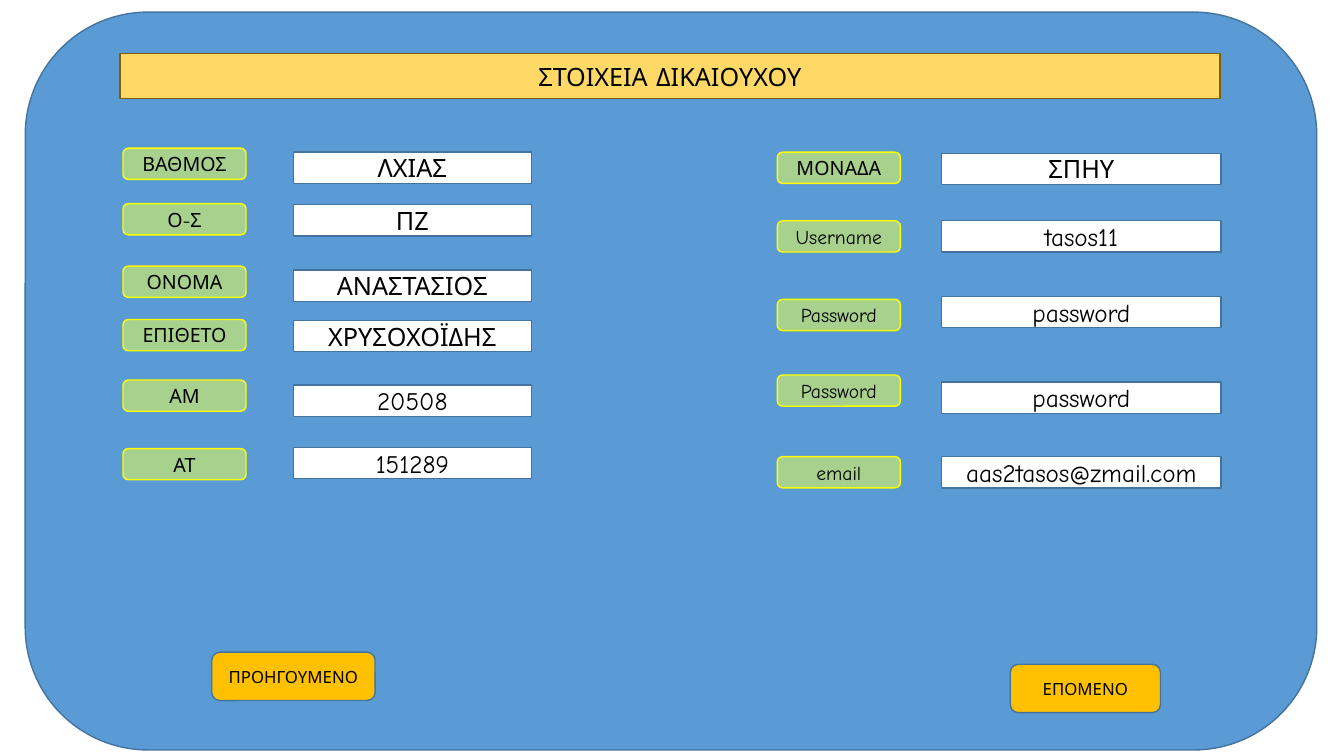
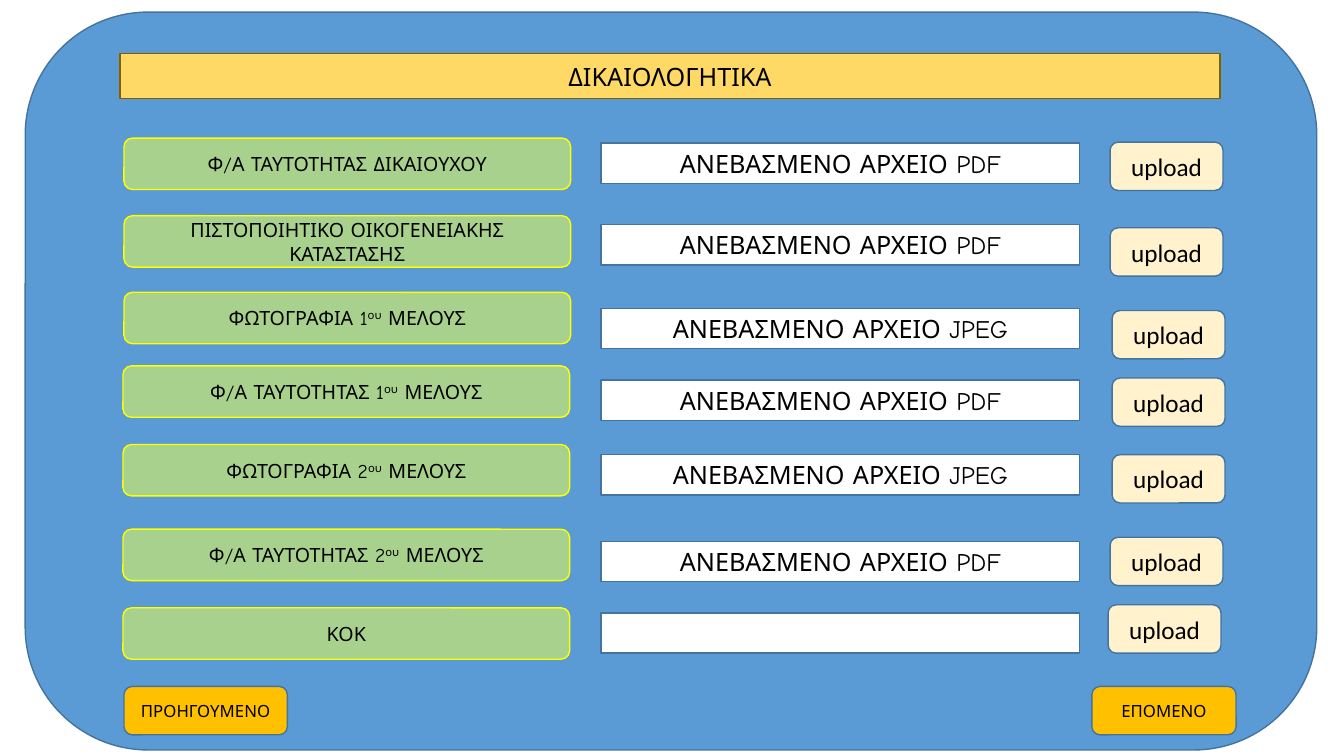
from dataclasses import dataclass

from pptx import Presentation
from pptx.dml.color import RGBColor
from pptx.enum import shapes, text
from pptx.util import Inches, Pt


@dataclass(frozen=True)
class Style:
    fill: str
    line: str = "43739E"
    size: int = 18
    font: str = "Comic Neue"
    rounded: bool = True


@dataclass(frozen=True)
class Theme:
    ink: str = "000000"
    line_width: float = 1
    panel: Style = Style("5B9BD5")
    title: Style = Style("FFD966", line="806000", rounded=False)
    label: Style = Style("A9D18E", line="FFFF00", size=14)
    field: Style = Style("FFFFFF", rounded=False)
    upload: Style = Style("FFF2CC", font="Calibri")
    navigation: Style = Style("FFC000", size=12)


THEME = Theme()
SUPERSCRIPT_MARK = "^"

LEFT_FIELDS = [
    ("ΒΑΘΜΟΣ", 1.47, "ΛΧΙΑΣ", 1.51),
    ("Ο-Σ", 2.02, "ΠΖ", 2.03),
    ("ΟΝΟΜΑ", 2.64, "ΑΝΑΣΤΑΣΙΟΣ", 2.68),
    ("ΕΠΙΘΕΤΟ", 3.17, "ΧΡΥΣΟΧΟΪΔΗΣ", 3.18),
    ("ΑΜ", 3.77, "20508", 3.82),
    ("ΑΤ", 4.45, "151289", 4.44),
]
RIGHT_FIELDS = [
    ("ΜΟΝΑΔΑ", 1.51, "ΣΠΗΥ", 1.52),
    ("Username", 2.19, "tasos11", 2.19),
    ("Password", 2.97, "password", 2.94),
    ("Password", 3.72, "password", 3.79),
    ("email", 4.53, "aas2tasos@zmail.com", 4.53),
]
PDF_FILE = "ΑΝΕΒΑΣΜΕΝΟ ΑΡΧΕΙΟ PDF"
JPEG_FILE = "ΑΝΕΒΑΣΜΕΝΟ ΑΡΧΕΙΟ JPEG"
DOCUMENTS = [
    ("Φ/Α ΤΑΥΤΟΤΗΤΑΣ ΔΙΚΑΙΟΥΧΟΥ", 1.23, 1.37, PDF_FILE, 1.42, 11.01, 1.41),
    ("ΠΙΣΤΟΠΟΙΗΤΙΚΟ ΟΙΚΟΓΕΝΕΙΑΚΗΣ ΚΑΤΑΣΤΑΣΗΣ", 1.23, 2.14, PDF_FILE, 2.23, 11.01, 2.26),
    ("ΦΩΤΟΓΡΑΦΙΑ 1^ου^ ΜΕΛΟΥΣ", 1.23, 2.9, JPEG_FILE, 3.06, 11.03, 3.08),
    ("Φ/Α ΤΑΥΤΟΤΗΤΑΣ 1^ου^ ΜΕΛΟΥΣ", 1.22, 3.63, PDF_FILE, 3.77, 11.03, 3.75),
    ("ΦΩΤΟΓΡΑΦΙΑ 2^ου^ ΜΕΛΟΥΣ", 1.22, 4.41, JPEG_FILE, 4.51, 11.03, 4.51),
    ("Φ/Α ΤΑΥΤΟΤΗΤΑΣ 2^ου^ ΜΕΛΟΥΣ", 1.22, 5.25, PDF_FILE, 5.37, 11.01, 5.33),
    ("ΚΟΚ", 1.22, 6.03, "", 6.08, 10.99, 6),
]


def write_text(box, wording, style):
    box.text_frame.vertical_anchor = text.MSO_ANCHOR.MIDDLE
    para = box.text_frame.paragraphs[0]
    para.alignment = text.PP_ALIGN.CENTER
    for index, part in enumerate(wording.split(SUPERSCRIPT_MARK)):
        span = para.add_run()
        span.text = part
        span.font.size = Pt(style.size)
        span.font.name = style.font
        span.font.color.rgb = RGBColor.from_string(THEME.ink)
        if index % 2:
            span.font._element.set("baseline", "30000")


def add_box(page, style, left, top, width, height, wording=""):
    preset = shapes.MSO_SHAPE.ROUNDED_RECTANGLE if style.rounded else shapes.MSO_SHAPE.RECTANGLE
    box = page.shapes.add_shape(
        preset, Inches(left), Inches(top), Inches(width), Inches(height)
    )
    box.shadow.inherit = False
    box.fill.solid()
    box.fill.fore_color.rgb = RGBColor.from_string(style.fill)
    box.line.color.rgb = RGBColor.from_string(style.line)
    box.line.width = Pt(THEME.line_width)
    if wording:
        write_text(box, wording, style)


def add_page(deck, title):
    page = deck.slides.add_slide(deck.slide_layouts[6])
    add_box(page, THEME.panel, 0.25, 0.12, 12.81, 7.32)
    add_box(page, THEME.title, 1.19, 0.53, 10.91, 0.45, title)
    return page


def add_form_column(page, fields, label_left, field_left, field_width):
    for label, label_top, value, value_top in fields:
        add_box(page, THEME.label, label_left, label_top, 1.22, 0.31, label)
        add_box(page, THEME.field, field_left, value_top, field_width, 0.31, value)


def add_document_row(page, label, label_left, label_top, file, file_top, upload_left, upload_top):
    add_box(page, THEME.label, label_left, label_top, 4.43, 0.51, label)
    add_box(page, THEME.field, 5.96, file_top, 4.75, 0.4, file)
    add_box(page, THEME.upload, upload_left, upload_top, 1.12, 0.48, "upload")


def add_navigation(page, back_left, back_top, next_left, next_top, next_width):
    add_box(page, THEME.navigation, back_left, back_top, 1.62, 0.48, "ΠΡΟΗΓΟΥΜΕΝΟ")
    add_box(page, THEME.navigation, next_left, next_top, next_width, 0.48, "ΕΠΟΜΕΝΟ")


def add_beneficiary_page(deck):
    page = add_page(deck, "ΣΤΟΙΧΕΙΑ ΔΙΚΑΙΟΥΧΟΥ")
    add_form_column(page, LEFT_FIELDS, 1.22, 2.91, 2.36)
    add_form_column(page, RIGHT_FIELDS, 7.71, 9.34, 2.77)
    add_navigation(page, 2.1, 6.47, 10.02, 6.59, 1.49)


def add_documents_page(deck):
    page = add_page(deck, "ΔΙΚΑΙΟΛΟΓΗΤΙΚΑ")
    for document in DOCUMENTS:
        add_document_row(page, *document)
    add_navigation(page, 1.23, 6.81, 10.83, 6.81, 1.43)


def main():
    deck = Presentation()
    deck.slide_width = Inches(13.33)
    deck.slide_height = Inches(7.5)
    add_beneficiary_page(deck)
    add_documents_page(deck)
    deck.save("out.pptx")


if __name__ == "__main__":
    main()
